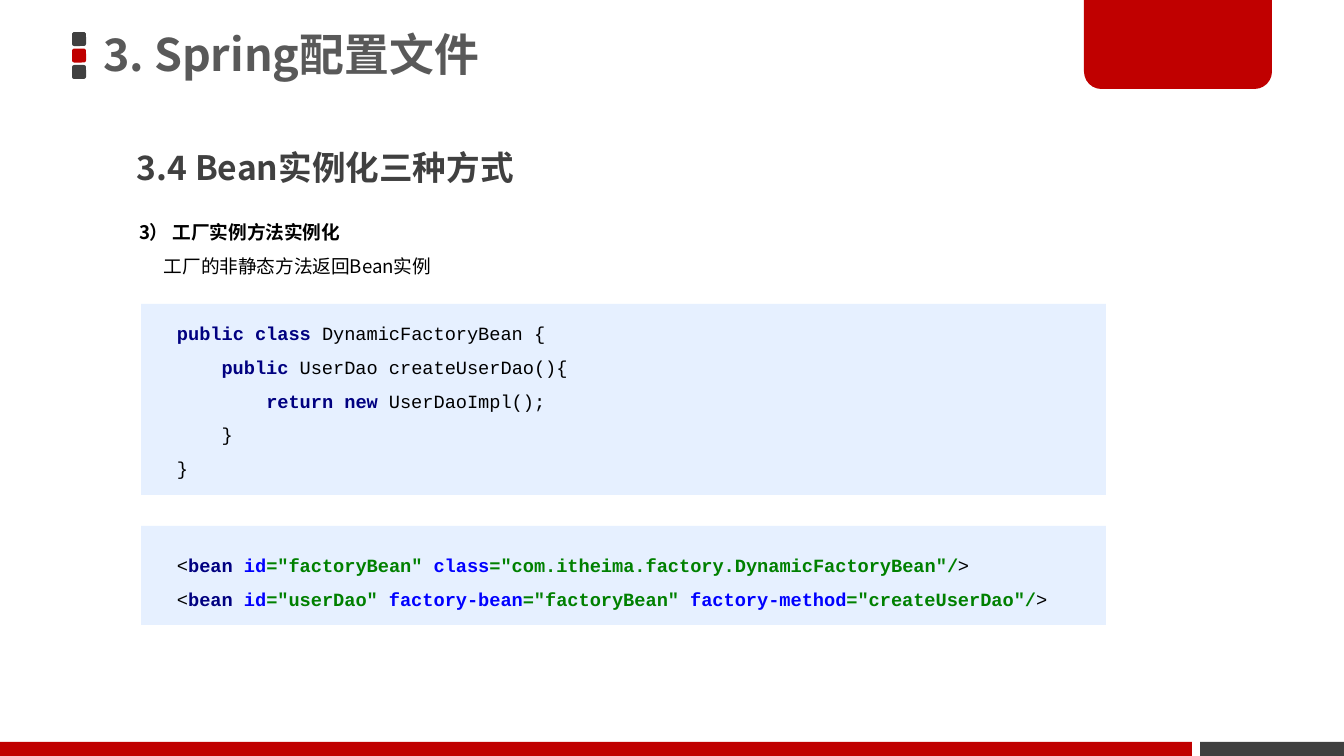
import pptx
import pptx.util
import pptx.dml.color
import pptx.enum.shapes
import pptx.enum.text
import lxml.etree

RGBColor = pptx.dml.color.RGBColor
SHAPE = pptx.enum.shapes.MSO_SHAPE
ANCHOR = pptx.enum.text.MSO_ANCHOR

WHITE = RGBColor(0xFF, 0xFF, 0xFF)
BLACK = RGBColor(0x00, 0x00, 0x00)
RED = RGBColor(0xC0, 0x00, 0x00)
DARK = RGBColor(0x40, 0x40, 0x40)
GRAY = RGBColor(0x59, 0x59, 0x59)
PALE_BLUE = RGBColor(0xE6, 0xF0, 0xFF)
NAVY = RGBColor(0x00, 0x00, 0x80)
BLUE = RGBColor(0x00, 0x00, 0xFF)
GREEN = RGBColor(0x00, 0x80, 0x00)

SANS = "Noto Sans CJK SC"
MONO = "Courier New"
WIDTH, HEIGHT = 1344, 756
EMU_PER_PX = 914400 / 134.4

JAVA_LINES = [
    [("public class ", NAVY), ("DynamicFactoryBean {", BLACK)],
    [("    ", BLACK), ("public ", NAVY), ("UserDao createUserDao(){", BLACK)],
    [("        ", BLACK), ("return new ", NAVY), ("UserDaoImpl();", BLACK)],
    [("    }", BLACK)],
    [("}", BLACK)],
]
BEANS = [
    [("id", '="factoryBean" '),
     ("class", '="com.itheima.factory.DynamicFactoryBean"/')],
    [("id", '="userDao" '), ("factory-bean", '="factoryBean" '),
     ("factory-method", '="createUserDao"/')],
]


def px(length):
    return pptx.util.Emu(round(length * EMU_PER_PX))


def add_block(page, kind, left, top, width, height, color):
    block = page.shapes.add_shape(kind, px(left), px(top), px(width), px(height))
    block.shadow.inherit = False
    block.fill.solid()
    block.fill.fore_color.rgb = color
    block.line.fill.background()
    return block


def style_span(span, size, color, bold, font_name):
    span.font.size = pptx.util.Pt(size)
    span.font.bold = bold
    span.font.name = font_name
    span.font.color.rgb = color
    namespace = "http://schemas.openxmlformats.org/drawingml/2006/main"
    east_asian = lxml.etree.Element(f"{{{namespace}}}ea", typeface=font_name)
    latin = span.font._element.find(f"{{{namespace}}}latin")
    latin.addnext(east_asian)


def prepare_frame(frame, margin_x, margin_y, anchor):
    frame.word_wrap = True
    frame.auto_size = pptx.enum.text.MSO_AUTO_SIZE.NONE
    frame.margin_left = frame.margin_right = px(margin_x)
    frame.margin_top = frame.margin_bottom = px(margin_y)
    frame.vertical_anchor = anchor


def add_text(page, left, top, width, height, lines, size, font_name):
    box = page.shapes.add_textbox(px(left), px(top), px(width), px(height))
    frame = box.text_frame
    prepare_frame(frame, 13, 7, ANCHOR.TOP)
    for index, line in enumerate(lines):
        para = frame.add_paragraph() if index else frame.paragraphs[0]
        para.line_spacing = 1.5
        for text, color, bold in line:
            span = para.add_run()
            span.text = text
            style_span(span, size, color, bold, font_name)
    return box


def add_frame_decor(page):
    for index, color in enumerate((DARK, RED, DARK)):
        add_block(page, SHAPE.ROUNDED_RECTANGLE, 72, 32 + 16.5 * index, 14, 14, color)
    tab = add_block(page, SHAPE.ROUND_2_SAME_RECTANGLE, 1084, -3, 188, 92, RED)
    tab.adjustments[0] = 0
    tab.adjustments[1] = 0.19
    add_block(page, SHAPE.RECTANGLE, 0, 742, 1192, 14, RED)
    add_block(page, SHAPE.RECTANGLE, 1200, 742, 144, 14, DARK)


def place_title(page, left, top, width, height):
    title = page.shapes.title
    title.left, title.top = px(left), px(top)
    title.width, title.height = px(width), px(height)
    frame = title.text_frame
    frame.text = "3. Spring配置文件"
    prepare_frame(frame, 10, 5, ANCHOR.MIDDLE)
    para = frame.paragraphs[0]
    para.alignment = pptx.enum.text.PP_ALIGN.LEFT
    para.line_spacing = 0.9
    style_span(para.runs[0], 24, GRAY, True, SANS)


def add_introduction(page, left, top):
    add_text(page, left, top, 855, 74,
             [[("3.4 Bean实例化三种方式", DARK, True)]], 18, SANS)
    method = add_text(page, left + 2, top + 83, 1074, 80,
                      [[("3） 工厂实例方法实例化", BLACK, True)],
                       [("工厂的非静态方法返回Bean实例", BLACK, False)]], 10, SANS)
    properties = method.text_frame.paragraphs[1]._p.get_or_add_pPr()
    properties.set("marL", str(px(25)))


def add_code_panel(page, left, top, width, height, lines, text_offset):
    add_block(page, SHAPE.RECTANGLE, left, top, width, height, PALE_BLUE)
    spans = [[(text, color, color != BLACK) for text, color in line]
             for line in lines]
    add_text(page, left + 23, top + text_offset, width - 23, height - text_offset,
             spans, 10, MONO)


def bean_line(attributes):
    line = [("<", BLACK), ("bean ", NAVY)]
    for name, value in attributes:
        line += [(name, BLUE), (value, GREEN)]
    return line + [(">", BLACK)]


def main():
    deck = pptx.Presentation()
    deck.slide_width, deck.slide_height = px(WIDTH), px(HEIGHT)
    page = deck.slides.add_slide(deck.slide_layouts.get_by_name("Title Only"))
    page.background.fill.solid()
    page.background.fill.fore_color.rgb = WHITE
    add_frame_decor(page)
    place_title(page, 93, -3, 792, 120)
    add_introduction(page, 124, 120)
    add_code_panel(page, 141, 526, 965, 99, [bean_line(bean) for bean in BEANS], 10)
    add_code_panel(page, 141, 304, 965, 191, JAVA_LINES, 0)
    deck.save("out.pptx")


if __name__ == "__main__":
    main()
